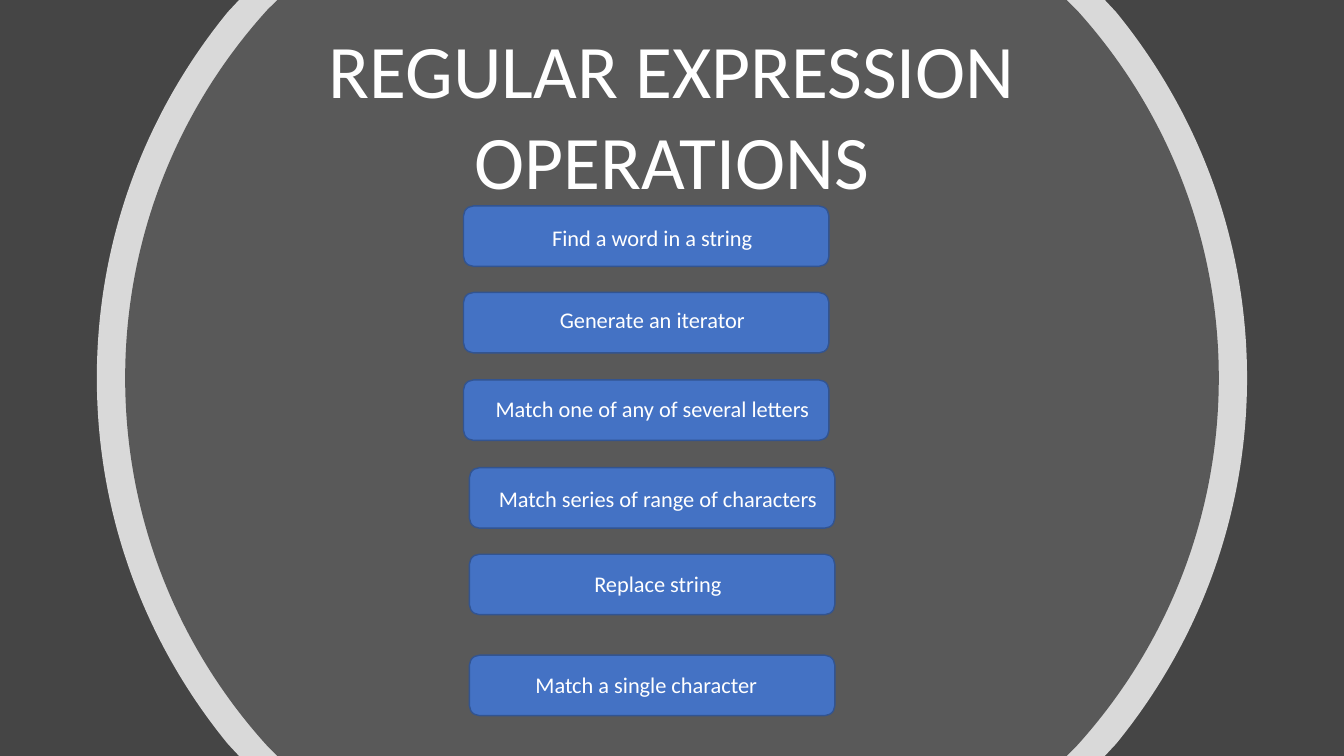
from lxml import etree
from pptx import Presentation
from pptx import util as u
from pptx.dml.color import RGBColor
from pptx.enum import shapes, text
from pptx.oxml import ns

WIDTH, HEIGHT = 960, 540
MIDDLE_X, MIDDLE_Y = WIDTH / 2, HEIGHT / 2

BOX_WIDTH, BOX_HEIGHT = 261, 43.2
LABEL_HEIGHT = 26.6

OPERATIONS = [
    ("Find a word in a string", 331.1, 147.1, 386.3, 156.6, 159.1),
    ("Generate an iterator", 331.1, 208.9, 391.8, 215.3, 148.3),
    ("Match one of any of several letters", 331.1, 271.4, 345.1, 278.6, 241.9),
    ("Match series of range of characters", 335.3, 334.1, 347.6, 342.7, 244.8),
    ("Replace string", 335.3, 395.9, 416.6, 403.9, 106.6),
    ("Match a single character", 335.3, 468, 374.2, 475.9, 175),
]


def color(value):
    return RGBColor.from_string(value)


class SlideBuilder:
    """Hold the slide style and draw each kind of element in points."""

    font = "Calibri"
    ink = "FFFFFF"
    box_fill = "4472C4"
    box_line = "325491"

    def __init__(self, slide):
        self.slide = slide

    def background(self, fill):
        self.slide.background.fill.solid()
        self.slide.background.fill.fore_color.rgb = color(fill)

    def clipped_disc(self, radius, edge, shoulder, bend, pull, fill, opacity=100):
        shoulder_x, shoulder_y = shoulder
        bend_x, bend_y = bend
        right_side = [
            (edge, -MIDDLE_Y), (shoulder_x, -shoulder_y), (radius, 0),
            (shoulder_x, shoulder_y), (edge, MIDDLE_Y),
        ]
        left_side = [(-x, -y) for x, y in right_side]
        right_curves = [
            [(bend_x, -bend_y), (radius, -pull)],
            [(radius, pull), (bend_x, bend_y)],
        ]
        left_curves = [[(-x, -y) for x, y in controls] for controls in right_curves]

        outline = [left_side[-1], *right_side, *left_side[:-1]]
        points = [(u.Pt(MIDDLE_X + x), u.Pt(MIDDLE_Y + y)) for x, y in outline]
        builder = self.slide.shapes.build_freeform(*points[0])
        builder.add_line_segments(points[1:], close=True)
        shape = builder.convert_to_shape()

        segments = list(shape._element.iter(ns.qn("a:lnTo")))
        curved = segments[2 - 1 + 1 - 0:4] + segments[7:9]
        for segment, controls in zip(curved, right_curves + left_curves):
            segment.tag = ns.qn("a:cubicBezTo")
            for index, (x, y) in enumerate(controls):
                point = etree.Element(
                    ns.qn("a:pt"), x=str(u.Pt(radius + x)), y=str(u.Pt(MIDDLE_Y + y))
                )
                segment.insert(index, point)

        shape.shadow.inherit = False
        shape.fill.solid()
        shape.fill.fore_color.rgb = color(fill)
        shape.line.fill.background()
        if opacity < 100:
            solid = shape._element.spPr.find(ns.qn("a:solidFill"))
            etree.SubElement(solid[0], ns.qn("a:alpha"), val=str(opacity * 1000))

    def box(self, left, top):
        shape = self.slide.shapes.add_shape(
            shapes.MSO_SHAPE.FLOWCHART_ALTERNATE_PROCESS,
            u.Pt(left), u.Pt(top), u.Pt(BOX_WIDTH), u.Pt(BOX_HEIGHT),
        )
        shape.shadow.inherit = False
        shape.fill.solid()
        shape.fill.fore_color.rgb = color(self.box_fill)
        shape.line.color.rgb = color(self.box_line)
        shape.line.width = u.Pt(1)

    def label(self, wording, left, top, width, height, size):
        shape = self.slide.shapes.add_textbox(u.Pt(left), u.Pt(top), u.Pt(width), u.Pt(height))
        frame = shape.text_frame
        frame.text = wording
        frame.word_wrap = False
        frame.auto_size = text.MSO_AUTO_SIZE.SHAPE_TO_FIT_TEXT
        for paragraph in frame.paragraphs:
            paragraph.alignment = text.PP_ALIGN.CENTER
            for run in paragraph.runs:
                run.font.name = self.font
                run.font.size = u.Pt(size)
                run.font.color.rgb = color(self.ink)


def main():
    presentation = Presentation()
    presentation.slide_width = u.Pt(WIDTH)
    presentation.slide_height = u.Pt(HEIGHT)
    builder = SlideBuilder(presentation.slides.add_slide(presentation.slide_layouts[6]))

    builder.background("454545")
    builder.clipped_disc(
        410.8, 309.2, (317.2, 261.4), (375.5, 190.1), 99.4, "FFFFFF", opacity=80
    )
    builder.clipped_disc(390.6, 281.9, (289.1, 262.8), (352.4, 193), 100.8, "595959")
    builder.label("REGULAR EXPRESSION\nOPERATIONS", 225, 13, 509.8, 138.2, 54)
    for _, box_left, box_top, *_ in OPERATIONS:
        builder.box(box_left, box_top)
    for wording, _, _, left, top, width in OPERATIONS:
        builder.label(wording, left, top, width, LABEL_HEIGHT, 16)

    presentation.save("out.pptx")


if __name__ == "__main__":
    main()
